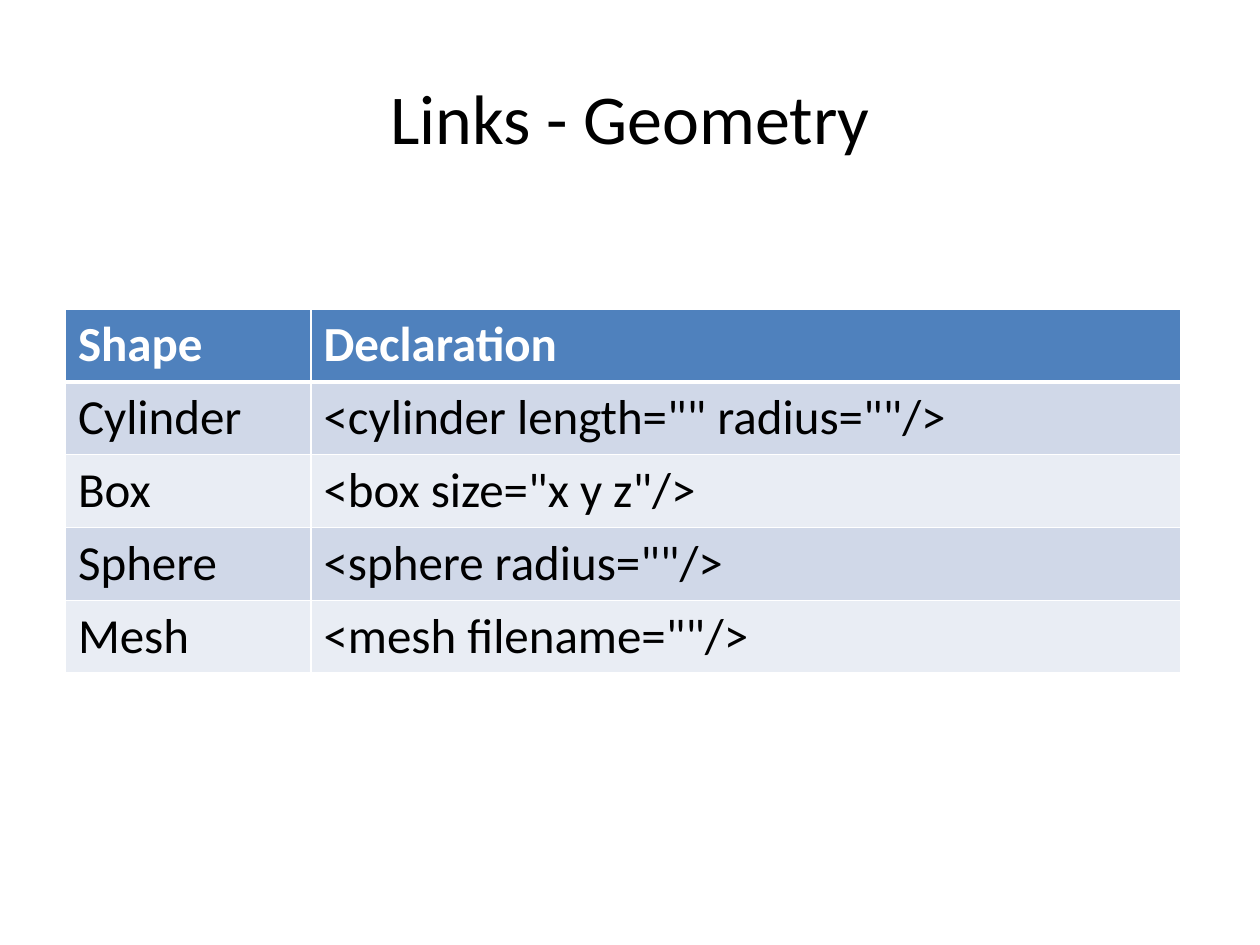
from lxml import etree
from pptx import Presentation
from pptx.dml.color import RGBColor
from pptx.enum.text import MSO_ANCHOR, PP_ALIGN
from pptx.oxml.ns import qn
from pptx.util import Cm, Pt

CENTER = PP_ALIGN.CENTER
MIDDLE = MSO_ANCHOR.MIDDLE
TOP = MSO_ANCHOR.TOP
TITLE_ONLY = 5
WHITE, BLACK, BLUE = "FFFFFF", "000000", "4F81BD"
BANDS = ("D0D8E8", "E9EDF4")
ROWS = [
    ("Shape", "Declaration"),
    ("Cylinder", '<cylinder length="" radius=""/>'),
    ("Box", '<box size="x y z"/>'),
    ("Sphere", '<sphere radius=""/>'),
    ("Mesh", '<mesh filename=""/>'),
]


def color(value):
    """Return the colour of a hex string."""
    return RGBColor.from_string(value)


def format_font(font, text_color, **values):
    """Set the colour of a font and every given attribute."""
    for name, value in {"name": "Calibri", **values}.items():
        setattr(font, name, value)
    font.color.rgb = color(text_color)


def add_borders(cell, widths):
    """Draw white cell borders with widths in points, keyed by side."""
    properties = cell._tc.get_or_add_tcPr()
    for side, width in widths.items():
        line = etree.SubElement(properties, qn(f"a:ln{side}"), w=str(Pt(width)))
        fill = etree.SubElement(line, qn("a:solidFill"))
        etree.SubElement(fill, qn("a:srgbClr"), val=WHITE)


def place_title(slide, text, left, top, width, height):
    """Place and format the title of the slide in the given box."""
    title = slide.shapes.title
    box = {"left": left, "top": top, "width": width, "height": height}
    for name, value in box.items():
        setattr(title, name, value)
    title.text_frame.text = text
    title.text_frame.vertical_anchor = MIDDLE
    paragraph = title.text_frame.paragraphs[0]
    paragraph.alignment = CENTER
    format_font(paragraph.runs[0].font, BLACK, size=Pt(40), bold=False)


def fill_cell(cell, text, row_index):
    """Write one table cell as header or banded body."""
    is_header = row_index == 0
    top_width = 3 if row_index == 1 else 1
    bottom_width = 3 if is_header else 1
    add_borders(cell, {"L": 1, "R": 1, "T": top_width, "B": bottom_width})
    cell.fill.solid()
    cell.fill.fore_color.rgb = color(BLUE if is_header else BANDS[(row_index - 1) % 2])
    cell.vertical_anchor = TOP
    cell.text = text
    font = cell.text_frame.paragraphs[0].runs[0].font
    format_font(font, WHITE if is_header else BLACK, size=Pt(28), bold=is_header)


def add_shape_table(slide, rows, left, top, width, height):
    """Add the table of shapes and their declarations in the given box."""
    frame = slide.shapes.add_table(len(rows), len(rows[0]), left, top, width, height)
    table = frame.table
    shape_width = Cm(4.95)
    for column, column_width in zip(table.columns, (shape_width, width - shape_width)):
        column.width = column_width
    for row_index, texts in enumerate(rows):
        for column_index, text in enumerate(texts):
            fill_cell(table.cell(row_index, column_index), text, row_index)


def main():
    """Build the slide and save the presentation."""
    presentation = Presentation()
    presentation.slide_width, presentation.slide_height = Cm(25.4), Cm(19.05)
    slide = presentation.slides.add_slide(presentation.slide_layouts[TITLE_ONLY])
    place_title(slide, "Links - Geometry", Cm(1.27), Cm(0.76), Cm(22.86), Cm(3.18))
    add_shape_table(slide, ROWS, Cm(1.32), Cm(6.23), Cm(22.48), Cm(7.34))
    presentation.save("out.pptx")


if __name__ == "__main__":
    main()
